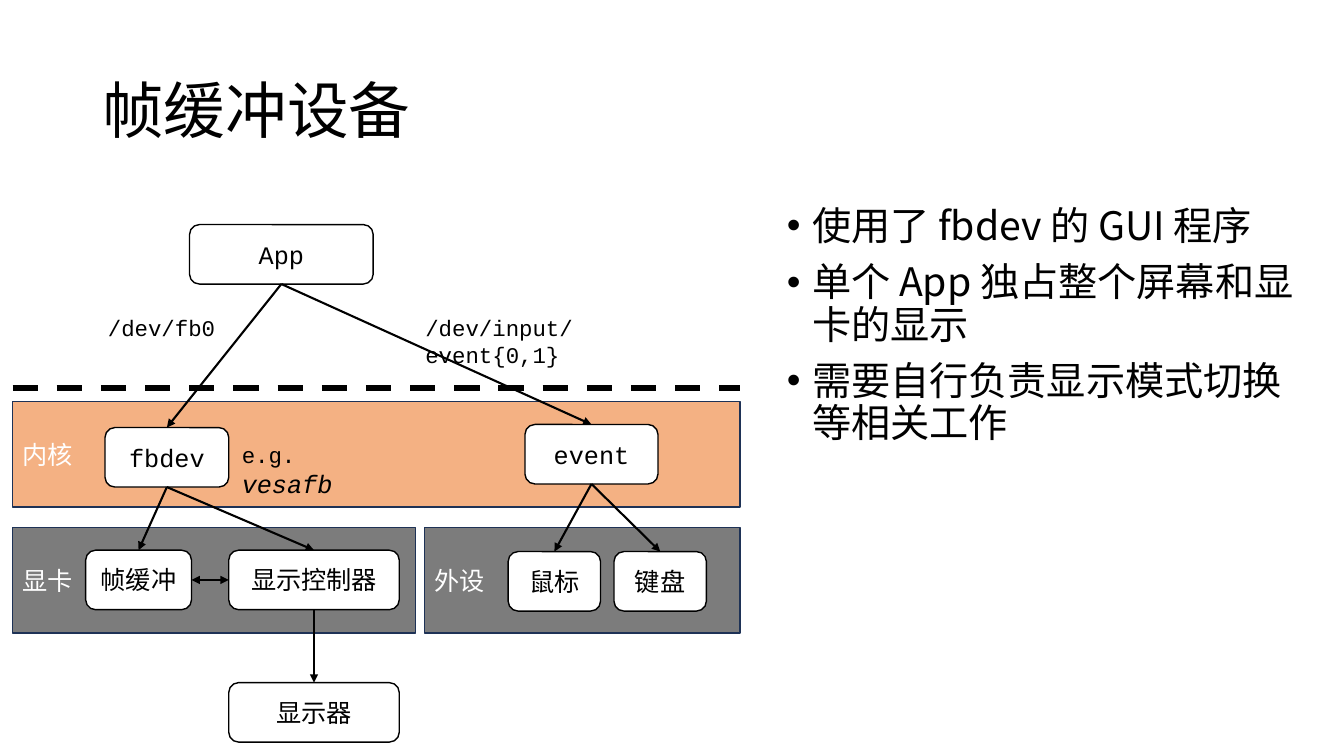
from dataclasses import dataclass

from lxml import etree
from pptx import Presentation
from pptx import util as u
from pptx.dml.color import RGBColor
from pptx.enum import dml, shapes, text
from pptx.oxml import ns

TOP, LEFT, BOTTOM, RIGHT = range(4)


@dataclass(frozen=True)
class Theme:
    black: str = "000000"
    white: str = "FFFFFF"
    kernel: str = "F4B183"
    hardware: str = "7C7C7C"
    border: str = "1E3256"
    sans: str = "Noto Sans CJK SC"
    mono: str = "Courier New"
    title: float = 44
    body: float = 28
    label: float = 18
    note: float = 16


def sub(parent, tag, **attrs):
    return etree.SubElement(parent, ns.qn(tag), attrs)


class Diagram:
    def __init__(self, slide, theme):
        self.slide, self.theme = slide, theme

    def run(self, p, words, size, face, color, italic=None):
        r = p.add_run()
        r.text = words
        style = {"name": face, "size": u.Pt(size), "italic": italic}
        for key, value in style.items():
            setattr(r.font, key, value)
        r.font.color.rgb = RGBColor.from_string(color)
        sub(r.font._element, "a:ea", typeface=face)

    def shape(self, kind, at, words, fill, line, face, color, align):
        sp = self.slide.shapes.add_shape(kind, *map(u.Pt, at))
        sp.shadow.inherit = False
        sp.fill.solid()
        sp.fill.fore_color.rgb = RGBColor.from_string(fill)
        sp.line.color.rgb = RGBColor.from_string(line)
        sp.line.width = u.Pt(1)
        sp.text_frame.vertical_anchor = text.MSO_ANCHOR.MIDDLE
        p = sp.text_frame.paragraphs[0]
        p.alignment = align
        self.run(p, words, self.theme.label, face, color)
        return sp

    def layer(self, words, fill, *at):
        t = self.theme
        return self.shape(shapes.MSO_SHAPE.RECTANGLE, at, words, fill, t.border,
                          t.sans, t.white, text.PP_ALIGN.LEFT)

    def node(self, words, x, y, w):
        t = self.theme
        face = t.mono if words.isascii() else t.sans
        return self.shape(shapes.MSO_SHAPE.ROUNDED_RECTANGLE, (x, y, w, 42.5),
                          words, t.white, t.black, face, t.black,
                          text.PP_ALIGN.CENTER)

    def line(self, x1, y1, x2, y2, width):
        c = self.slide.shapes.add_connector(
            shapes.MSO_CONNECTOR.STRAIGHT, *map(u.Pt, (x1, y1, x2, y2)))
        c.line.color.rgb = RGBColor.from_string(self.theme.black)
        c.line.width = u.Pt(width)
        sub(c._element.spPr, "a:effectLst")
        return c

    def arrow(self, start, end, sides=(BOTTOM, TOP), both=False):
        c = self.line(0, 0, 0, 0, 1.5)
        c.begin_connect(start, sides[0])
        c.end_connect(end, sides[1])
        ln = c.line._get_or_add_ln()
        if both:
            sub(ln, "a:headEnd", type="triangle")
        sub(ln, "a:tailEnd", type="triangle")

    def box(self, *at):
        tf = self.slide.shapes.add_textbox(*map(u.Pt, at)).text_frame
        tf.word_wrap = True
        return tf

    def note(self, at, *runs):
        t = self.theme
        p = self.box(*at).paragraphs[0]
        for words, size, italic in runs:
            self.run(p, words, size, t.mono, t.black, italic)

    def title(self, words, *at):
        t = self.theme
        tf = self.box(*at)
        tf.vertical_anchor = text.MSO_ANCHOR.MIDDLE
        p = tf.paragraphs[0]
        p.line_spacing = 0.9
        self.run(p, words, t.title, t.sans, t.black)

    def bullets(self, items, *at):
        t = self.theme
        tf = self.box(*at)
        for i, words in enumerate(items):
            p = tf.add_paragraph() if i else tf.paragraphs[0]
            pPr = p._p.get_or_add_pPr()
            pPr.set("marL", str(u.Pt(18)))
            pPr.set("indent", str(-u.Pt(18)))
            sub(pPr, "a:buFont", typeface="Arial")
            sub(pPr, "a:buChar", char="•")
            layout = {"line_spacing": 0.9, "space_before": u.Pt(10 if i else 0)}
            for key, value in layout.items():
                setattr(p, key, value)
            self.run(p, words, t.body, t.sans, t.black)


def main():
    prs = Presentation()
    prs.slide_width, prs.slide_height = u.Pt(960), u.Pt(540)
    t = Theme()
    d = Diagram(prs.slides.add_slide(prs.slide_layouts[6]), t)

    d.title("帧缓冲设备", 66, 28.8, 828, 104.4)
    d.bullets(["使用了 fbdev 的 GUI 程序",
               "单个 App 独占整个屏幕和显卡的显示",
               "需要自行负责显示模式切换等相关工作"], 555, 144, 376, 342.6)

    d.layer("外设", t.hardware, 303.2, 376.6, 225.4, 75.6)
    d.layer("显卡", t.hardware, 9, 376.6, 288, 75.6)
    d.layer("内核", t.kernel, 9, 286.6, 519.6, 75.6)
    border = d.line(9, 277.2, 528.6, 277.2, 4.5)
    border.line.dash_style = dml.MSO_LINE.DASH

    app = d.node("App", 135.4, 160.4, 131.2)
    fbdev = d.node("fbdev", 75, 305.4, 88.4)
    event = d.node("event", 375, 303.2, 95)
    buffer = d.node("帧缓冲", 61.2, 393, 75.6)
    controller = d.node("显示控制器", 163.4, 393, 121.8)
    mouse = d.node("鼠标", 363, 394, 66)
    keyboard = d.node("键盘", 438.6, 394, 66)
    monitor = d.node("显示器", 163.4, 487.6, 121.8)

    for start, end in [(app, fbdev), (app, event), (fbdev, buffer),
                       (fbdev, controller), (event, mouse),
                       (event, keyboard), (controller, monitor)]:
        d.arrow(start, end)
    d.arrow(buffer, controller, (RIGHT, LEFT), both=True)

    d.note((70, 221, 92.2, 26.6), ("/dev/fb0", t.note, None))
    d.note((296.8, 221, 208, 26.6), ("/dev/input/event{0,1}", t.note, None))
    d.note((165.6, 311.8, 118, 28.8),
           ("e.g. ", t.note, None), ("vesafb", t.label, True))

    prs.save("out.pptx")


if __name__ == "__main__":
    main()
